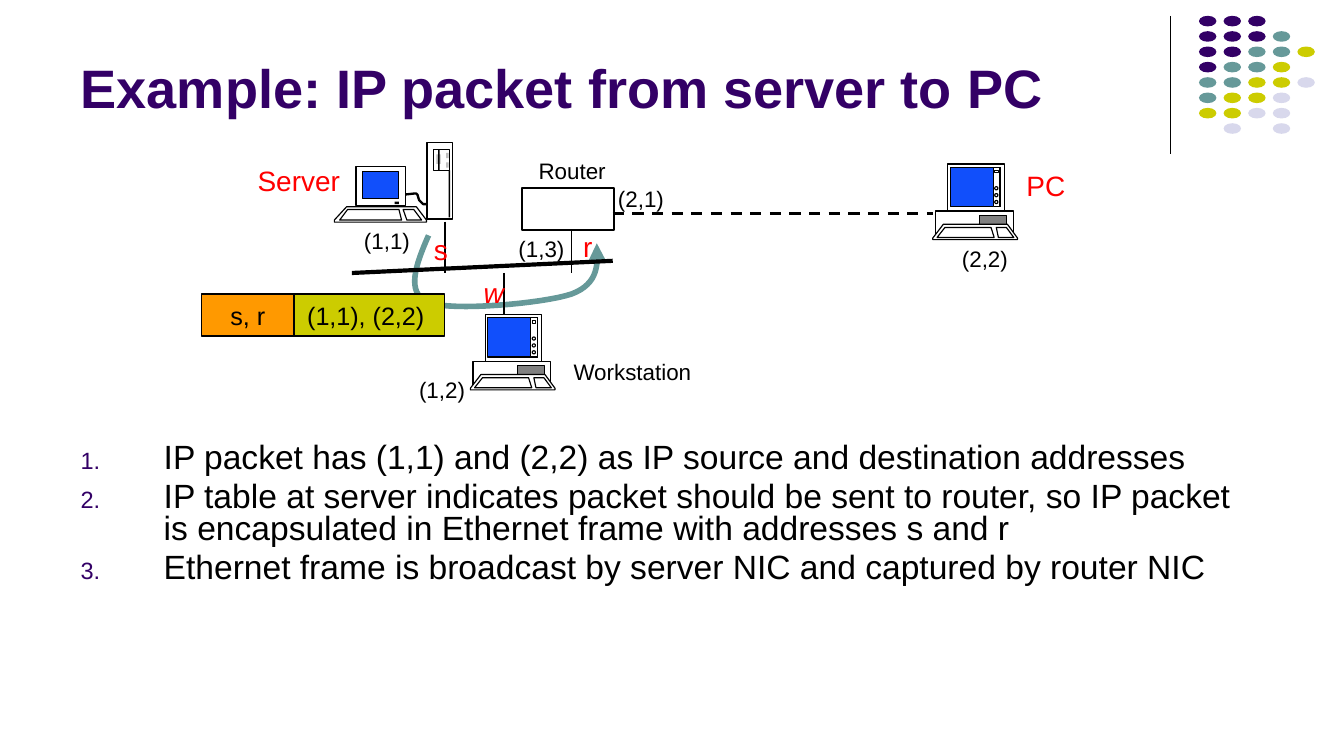
import pptx
import pptx.dml.color
import pptx.enum.dml
import pptx.enum.shapes
import pptx.enum.text
import pptx.oxml
import pptx.oxml.ns
import pptx.util
from lxml import etree

Cm, Pt = pptx.util.Cm, pptx.util.Pt
RECT = pptx.enum.shapes.MSO_SHAPE.RECTANGLE
OVAL = pptx.enum.shapes.MSO_SHAPE.OVAL
BLACK, WHITE, GREY, SILVER = "000000", "FFFFFF", "808080", "C0C0C0"
PURPLE, TEAL, OLIVE, PALE = "330066", "669999", "CCCC00", "D8D8EC"
RED, BLUE, ORANGE = "FF0000", "114FFB", "FF9900"


def rgb(color):
    return pptx.dml.color.RGBColor.from_string(color)


def sub(parent, tag, **attrs):
    return etree.SubElement(parent, pptx.oxml.ns.qn(tag), attrs)


def bezier(a, b, c, d, steps=16):
    """Points along a cubic curve, without its start."""
    for i in range(1, steps + 1):
        t = i / steps
        u = 1 - t
        yield tuple(u**3 * p + 3 * u * u * t * q + 3 * u * t * t * r + t**3 * s
                    for p, q, r, s in zip(a, b, c, d))


class Drawing:
    """House style plus the slide being drawn; lengths are centimetres."""
    font = "Arial"
    outline = 0.63

    def __init__(self, slide):
        self.slide = slide
        self.end_group()

    def start_group(self, x=0, y=0):
        self.shapes = self.slide.shapes.add_group_shape().shapes
        self.x, self.y = x, y

    def end_group(self):
        self.shapes = self.slide.shapes
        self.x = self.y = 0

    def format_run(self, r, size, color, bold=False, italic=False):
        r.font.name, r.font.size = self.font, Pt(size)
        r.font.bold, r.font.italic = bold, italic
        r.font.color.rgb = rgb(color)

    def paint(self, sp, fill, line, width):
        sp.shadow.inherit = False
        if fill:
            sp.fill.solid()
            sp.fill.fore_color.rgb = rgb(fill)
        else:
            sp.fill.background()
        if line:
            sp.line.color.rgb = rgb(line)
            sp.line.width = Pt(width)
        else:
            sp.line.fill.background()
        return sp

    def box(self, x, y, w, h, fill=WHITE, line=BLACK, width=outline, kind=RECT):
        sp = self.shapes.add_shape(kind, Cm(self.x + x), Cm(self.y + y), Cm(w), Cm(h))
        return self.paint(sp, fill, line, width)

    def outline_shape(self, points, fill=WHITE, line=BLACK, width=outline, closed=True):
        emu = [(Cm(self.x + x), Cm(self.y + y)) for x, y in points]
        builder = self.shapes.build_freeform(*emu[0])
        builder.add_line_segments(emu[1:], close=closed)
        return self.paint(builder.convert_to_shape(), fill, line, width)

    def line(self, x1, y1, x2, y2, width=1, dash=None):
        cn = self.shapes.add_connector(
            pptx.enum.shapes.MSO_CONNECTOR.STRAIGHT, Cm(x1), Cm(y1), Cm(x2), Cm(y2))
        cn.line.color.rgb = rgb(BLACK)
        cn.line.width = Pt(width)
        if dash:
            cn.line.dash_style = dash
        sub(cn._element.spPr, "a:effectLst")

    def label(self, text, x, y, w, size=12, color=BLACK, italic=False):
        tf = self.shapes.add_textbox(Cm(x), Cm(y), Cm(w), Cm(size * 0.06)).text_frame
        tf.word_wrap = False
        tf.auto_size = pptx.enum.text.MSO_AUTO_SIZE.SHAPE_TO_FIT_TEXT
        tf.text = text
        self.format_run(tf.paragraphs[0].runs[0], size, color, italic=italic)
        return tf.paragraphs[0]

    def field(self, text, x, y, w, h, fill):
        tf = self.box(x, y, w, h, fill, width=0.75).text_frame
        tf.word_wrap = False
        tf.vertical_anchor = pptx.enum.text.MSO_ANCHOR.MIDDLE
        tf.text = text
        p = tf.paragraphs[0]
        p.alignment = pptx.enum.text.PP_ALIGN.CENTER
        self.format_run(p.runs[0], 13.5, BLACK)

    def placeholder(self, index, text, x, y, w, h, anchor):
        sp = self.slide.placeholders[index]
        sp.left, sp.top, sp.width, sp.height = Cm(x), Cm(y), Cm(w), Cm(h)
        tf = sp.text_frame
        tf.text = text
        tf.auto_size = pptx.enum.text.MSO_AUTO_SIZE.NONE
        tf.vertical_anchor = anchor
        return tf.paragraphs

    def title(self, text):
        p = self.placeholder(0, text, 1.27, 0.25, 20.96, 2.13,
                             pptx.enum.text.MSO_ANCHOR.BOTTOM)[0]
        p.alignment = pptx.enum.text.PP_ALIGN.LEFT
        self.format_run(p.runs[0], 29, PURPLE, bold=True)

    def numbered_list(self, items):
        paragraphs = self.placeholder(1, "\n".join(items), 1.27, 8.26, 22.86, 4.78,
                                      pptx.enum.text.MSO_ANCHOR.TOP)
        for i, p in enumerate(paragraphs):
            pPr = p._p.get_or_add_pPr()
            pPr.set("marL", str(Cm(1.57)))
            pPr.set("indent", str(Cm(-1.57)))
            sub(sub(pPr, "a:buClr"), "a:srgbClr", val=PURPLE)
            sub(pPr, "a:buSzPct", val="70000")
            sub(pPr, "a:buFont", typeface=self.font)
            sub(pPr, "a:buAutoNum", type="arabicPeriod")
            p.line_spacing = 0.8
            p.space_before = Pt(3.6 if i else 0)
            self.format_run(p.runs[0], 18, BLACK)

    def curved_arrow(self, start, *curves):
        points = [start]
        for curve in curves:
            points.extend(bezier(points[-1], *curve))
        sp = self.outline_shape(points, None, TEAL, 3, closed=False)
        sub(sp.line._get_or_add_ln(), "a:tailEnd", type="triangle")

    def dot_grid(self, rows):
        colors = {"p": PURPLE, "t": TEAL, "y": OLIVE, "l": PALE}
        self.start_group(22.66, 0.3)
        for j, row in enumerate(rows):
            for i, key in enumerate(row):
                if key in colors:
                    self.box(0.465 * i, 0.29 * j, 0.33, 0.2, colors[key], None, kind=OVAL)
        self.end_group()

    def computer(self, x, y):
        self.start_group(x, y)
        self.box(0.05, 0.89, 1.47, 0.46)
        self.box(0.89, 0.97, 0.51, 0.2, GREY)
        # Keyboard, main keys, number pad
        self.outline_shape([(0.2, 1.14), (1.41, 1.14), (1.6, 1.4), (1.6, 1.43), (0, 1.43), (0, 1.4)])
        self.outline_shape([(0.23, 1.2), (1.1, 1.2), (1.16, 1.39), (0.08, 1.39)])
        self.outline_shape([(1.2, 1.2), (1.39, 1.2), (1.53, 1.39), (1.24, 1.39)])
        # Monitor, screen, control panel
        self.box(0.28, 0, 1.07, 0.89)
        self.box(0.33, 0.07, 0.94, 0.74, BLUE)
        self.box(1.14, 0.07, 0.13, 0.74)
        self.box(1.17, 0.12, 0.07, 0.05)
        for i in range(3):
            self.box(1.17, 0.43 + 0.13 * i, 0.06, 0.06, kind=OVAL)
        self.end_group()

    def server(self, x, y):
        self.start_group(x, y)
        # Cable
        self.outline_shape([(1.32, 0.99), (1.5, 0.97), (1.55, 0.97), (1.57, 0.99), (1.6, 1.09),
                            (1.65, 1.14), (1.68, 1.17), (1.8, 1.17)], None, width=1.25, closed=False)
        # Keyboard, main keys, number pad
        self.outline_shape([(0.23, 1.22), (1.55, 1.22), (1.74, 1.47), (1.74, 1.51), (0, 1.51), (0, 1.47)])
        self.outline_shape([(0.25, 1.27), (1.22, 1.27), (1.27, 1.47), (0.1, 1.47)])
        self.outline_shape([(1.3, 1.27), (1.5, 1.27), (1.65, 1.47), (1.37, 1.47)])
        # Monitor
        self.box(0.41, 0.46, 0.94, 0.74)
        self.box(0.53, 0.56, 0.69, 0.51, BLUE)
        self.box(1.14, 1.12, 0.08, 0.05, BLACK, None)
        # Tower
        self.box(1.75, 0, 0.48, 1.45)
        self.box(1.88, 0.13, 0.3, 0.41)
        self.box(2.16, 0.53, 0.03, 0.89, BLACK, None)
        self.box(1.93, 0.23, 0.08, 0.18, SILVER, None)
        self.box(1.96, 0.13, 0.03, 0.41, BLACK, None)
        for top in (0.2, 0.38):
            self.box(2.11, top, 0.05, 0.1, SILVER, None)
        self.end_group()


def main():
    prs = pptx.Presentation()
    prs.slide_width, prs.slide_height = Cm(25.4), Cm(14.29)
    d = Drawing(prs.slides.add_slide(prs.slide_layouts[1]))

    # Corner decoration and text
    d.line(22.12, 0.3, 22.12, 2.92, 0.75)
    d.dot_grid(["ppp", "pppt", "pptty", "ptty", "ttyyl", "tyyl", "yyll", ".l.l"])
    d.title("Example: IP packet from server to PC")
    d.numbered_list([
        "IP packet has (1,1) and (2,2) as IP source and destination addresses",
        "IP table at server indicates packet should be sent to router, "
        "so IP packet is encapsulated in Ethernet frame with addresses s and r",
        "Ethernet frame is broadcast by server NIC and captured by router NIC"])

    # Network: frame route, Ethernet bus, devices and links
    d.curved_arrow((8.1, 4.45),
                   ((7.87, 4.98), (7.65, 5.54), (8.1, 5.72)),
                   ((8.53, 5.89), (10.26, 5.74), (10.8, 5.56)),
                   ((11.33, 5.36), (11.3, 4.98), (11.28, 4.6)))
    d.line(6.65, 5.16, 11.58, 4.93, 2.25)
    d.computer(8.89, 5.94)
    d.server(6.32, 2.69)
    for x, top, bottom in ((8.41, 4.19, 5.16), (9.53, 5.16, 5.94), (10.8, 4.37, 5.16)):
        d.line(x, top, x, bottom)
    d.box(9.86, 3.56, 1.75, 0.79, width=1)
    d.computer(17.63, 3.1)
    d.line(11.58, 4.04, 17.63, 4.04, 1.5, pptx.enum.dml.MSO_LINE.DASH)

    # Addresses and names
    for text, x, y, w in (("(1,1)", 6.63, 4.17, 1.4), ("(1,2)", 7.67, 6.99, 1.55),
                          ("(2,1)", 11.43, 3.38, 1.4), ("(2,2)", 17.93, 4.5, 1.4),
                          ("Router", 9.93, 2.84, 1.78), ("Workstation", 10.59, 6.65, 2.77)):
        d.label(text, x, y, w)
    for text, x, y, w in (("s", 7.95, 4.27, 0.79), ("w", 8.89, 5.08, 0.89),
                          ("PC", 19.15, 3.07, 1.24), ("Server", 4.62, 2.97, 2.08)):
        d.label(text, x, y, w, 15, RED, italic=text == "w")
    p = d.label("(1,3)", 9.55, 4.22, 1.93)
    sub(sub(p._p.get_or_add_pPr(), "a:tabLst"), "a:tab", pos=str(Cm(1.22)), algn="l")
    r = p.add_run()
    r.text = "\tr"
    d.format_run(r, 15, RED)

    # Ethernet frame
    d.start_group()
    d.field("(1,1), (2,2) ", 5.56, 5.56, 2.84, 0.79, OLIVE)
    d.field("s, r", 3.81, 5.56, 1.75, 0.79, ORANGE)
    d.end_group()

    prs.save("out.pptx")


if __name__ == "__main__":
    main()
